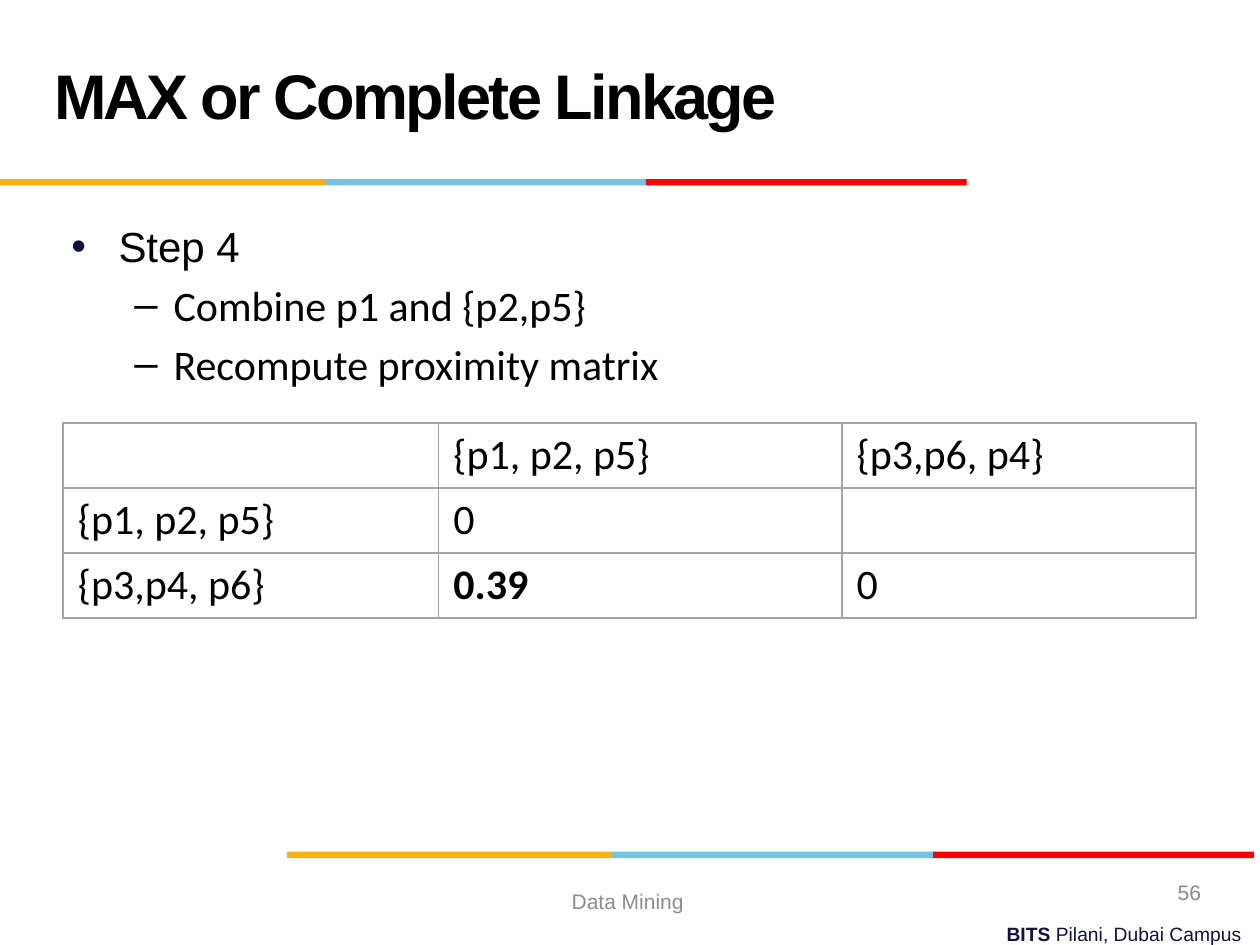
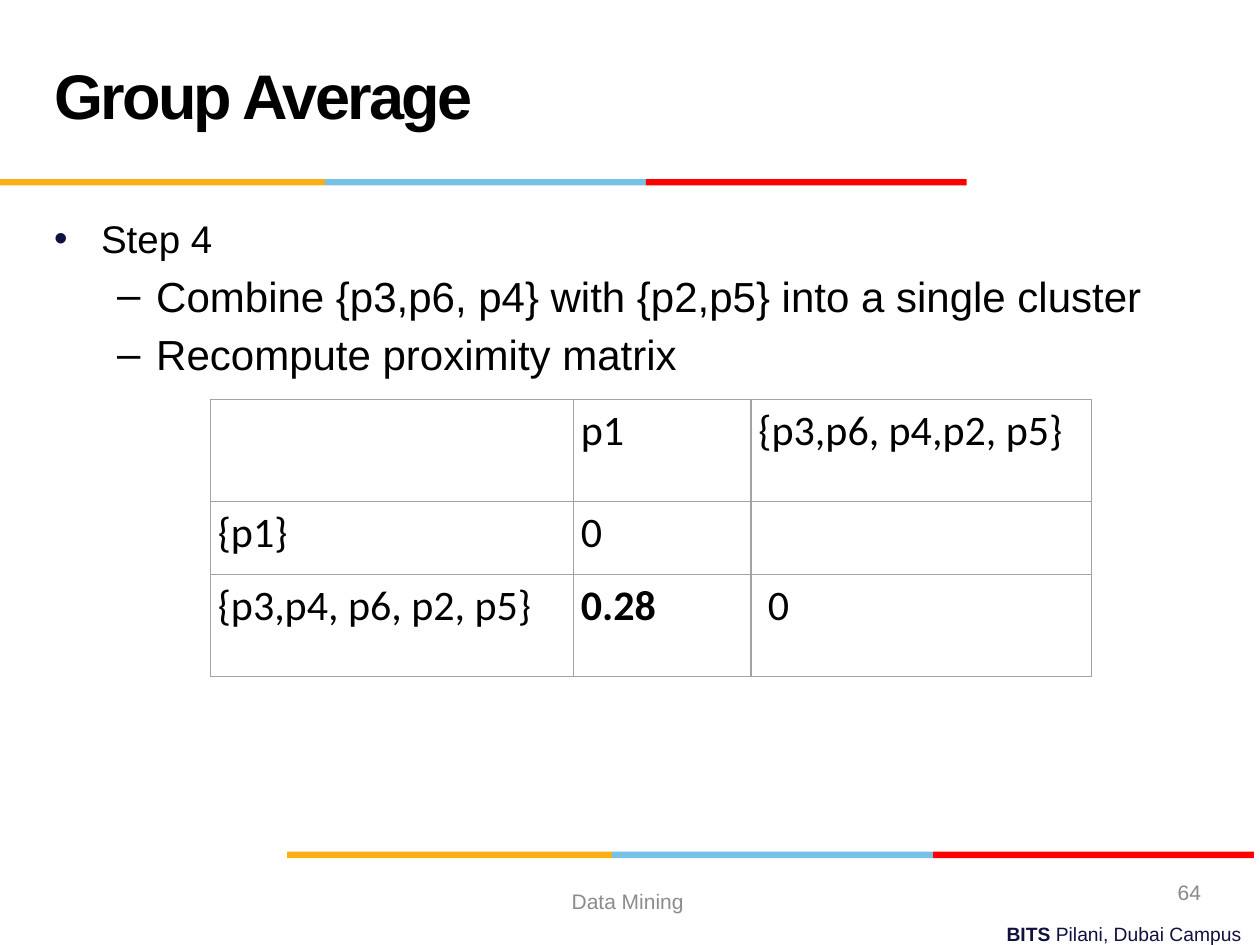
from dataclasses import dataclass
from itertools import product

from lxml.etree import SubElement
from pptx import Presentation
from pptx.dml.color import RGBColor
from pptx.enum.shapes import MSO_SHAPE as Shape
from pptx.enum.text import MSO_ANCHOR as Anchor, PP_ALIGN as Align
from pptx.oxml.ns import qn
from pptx.util import Cm, Pt


@dataclass(frozen=True)
class Theme:
    """Colours, fonts and type sizes of the deck."""
    ink: str = "000000"
    navy: str = "101141"
    footer: str = "8C8C8C"
    number: str = "898989"
    border: str = "A3A3A3"
    stripes: tuple = ("FCB017", "76C2E5", "FF0000")
    main: str = "Arial"
    second: str = "Calibri"
    title_size: int = 36
    body_size: int = 24
    footer_size: int = 12
    campus_size: int = 11


THEME = Theme()
STRIPE_WIDTHS = (6.55, 6.47, 6.47)


def add_span(para, text, size=THEME.body_size, font=THEME.main, color=THEME.ink,
             bold=False, spacing=None):
    """Add a formatted run of text to a paragraph."""
    span = para.add_run()
    span.text = text
    span.font.size, span.font.name, span.font.bold = Pt(size), font, bold
    span.font.color.rgb = RGBColor.from_string(color)
    if spacing is not None:
        span.font._element.set("spc", str(int(spacing * 100)))


def add_box(page, left, top, width, height, anchor=Anchor.TOP, align=Align.LEFT):
    """Add a wrapping text box and return its text frame."""
    frame = page.shapes.add_textbox(Cm(left), Cm(top), Cm(width), Cm(height)).text_frame
    frame.word_wrap = True
    frame.vertical_anchor = anchor
    frame.paragraphs[0].alignment = align
    return frame


def add_stripes(page, left, top):
    """Draw the three-colour band from the given corner."""
    for width, color in zip(STRIPE_WIDTHS, THEME.stripes):
        stripe = page.shapes.add_shape(Shape.RECTANGLE, Cm(left), Cm(top), Cm(width), Cm(0.13))
        stripe.shadow.inherit = False
        stripe.fill.solid()
        stripe.fill.fore_color.rgb = RGBColor.from_string(color)
        stripe.line.fill.background()
        left += width


def add_title(page, text):
    """Write the slide title above its band."""
    para = add_box(page, 0.84, 0.43, 17.58, 3.18, Anchor.MIDDLE).paragraphs[0]
    para.line_spacing = Pt(36)
    add_span(para, text, size=THEME.title_size, bold=True, spacing=-1.5)
    add_stripes(page, 0, 3.61)


def add_footer(page, number):
    """Draw the bottom band, course name, page number and campus line."""
    add_stripes(page, 5.79, 17.17)
    course = add_box(page, 8.63, 17.65, 8.05, 1.02, Anchor.MIDDLE, Align.CENTER)
    add_span(course.paragraphs[0], "Data Mining", size=THEME.footer_size, color=THEME.footer)
    folio = add_box(page, 18.54, 17.48, 5.92, 1.02, Anchor.MIDDLE, Align.RIGHT)
    add_span(folio.paragraphs[0], str(number), size=THEME.footer_size, color=THEME.number)
    campus = add_box(page, 8.97, 18.47, 16.31, 0.74, align=Align.RIGHT).paragraphs[0]
    for text, bold in (("BITS ", True), ("Pilani, Dubai Campus", False)):
        add_span(campus, text, size=THEME.campus_size, color=THEME.navy, bold=bold)


def set_bullet(para, mark, margin, hang, color=None):
    """Give a paragraph a hanging bullet."""
    props = para._p.get_or_add_pPr()
    props.set("marL", str(Cm(margin)))
    props.set("indent", str(-Cm(hang)))
    if color:
        SubElement(SubElement(props, qn("a:buClr")), qn("a:srgbClr"), val=color)
    SubElement(props, qn("a:buFont"), typeface=THEME.main)
    SubElement(props, qn("a:buChar"), char=mark)


def add_steps(page, box, heading, actions, heading_size=THEME.body_size, font=THEME.main):
    """Write a bulleted step with its dashed actions."""
    frame = add_box(page, *box)
    para = frame.paragraphs[0]
    set_bullet(para, "•", 0.95, 0.95, THEME.navy)
    add_span(para, heading, size=heading_size)
    for action in actions:
        para = frame.add_paragraph()
        para.space_before = Pt(THEME.body_size * 0.2)
        set_bullet(para, "–", 2.06, 0.79)
        add_span(para, action, font=font)


def style_cell(cell, inset):
    """Clear the fill of a cell, outline it and set its margins."""
    props = cell._tc.get_or_add_tcPr()
    for side in ("lnL", "lnR", "lnT", "lnB"):
        line = SubElement(props, qn(f"a:{side}"), w=str(Pt(1)))
        SubElement(SubElement(line, qn("a:solidFill")), qn("a:srgbClr"), val=THEME.border)
    cell.fill.background()
    cell.margin_left = cell.margin_right = Cm(inset)
    cell.margin_top = cell.margin_bottom = Cm(0.13)


def add_matrix(page, left, top, widths, heights, values, inset):
    """Add a proximity matrix with its recomputed distance in bold."""
    table = page.shapes.add_table(len(heights), len(widths), Cm(left), Cm(top),
                                  Cm(sum(widths)), Cm(sum(heights))).table
    table.first_row = table.horz_banding = False
    for column, width in zip(table.columns, widths):
        column.width = Cm(width)
    for row, height in zip(table.rows, heights):
        row.height = Cm(height)
    for row, column in product(range(len(heights)), range(len(widths))):
        cell = table.cell(row, column)
        style_cell(cell, inset)
        if values[row][column]:
            add_span(cell.text_frame.paragraphs[0], values[row][column],
                     font=THEME.second, bold=(row, column) == (2, 1))
    return table


def add_page(deck, title, number):
    """Add a blank slide with the shared title and footer."""
    page = deck.slides.add_slide(deck.slide_layouts[6])
    add_title(page, title)
    add_footer(page, number)
    return page


def build_complete_linkage(deck):
    """Build the complete linkage slide."""
    page = add_page(deck, "MAX or Complete Linkage", 56)
    add_steps(page, (1.19, 4.32, 23.29, 12.07), "Step 4",
              ("Combine p1 and {p2,p5}", "Recompute proximity matrix"), font=THEME.second)
    add_matrix(page, 1.27, 8.53, (7.57, 8.13, 7.14), (1.31,) * 3,
               (("", "{p1, p2, p5}", "{p3,p6, p4}"),
                ("{p1, p2, p5}", "0", ""),
                ("{p3,p4, p6}", "0.39", "0")), inset=0.3)


def build_group_average(deck):
    """Build the group average slide."""
    page = add_page(deck, "Group Average", 64)
    add_steps(page, (0.84, 4.22, 22.86, 12.57), "Step 4",
              ("Combine {p3,p6, p4} with {p2,p5} into a single cluster",
               "Recompute proximity matrix"), heading_size=22)
    table = add_matrix(page, 4.24, 8.05, (7.32, 3.58, 6.86), (2.06, 1.47, 2.06),
                       (("", "p1", "{p3,p6, p4,p2, p5}"),
                        ("{p1}", "0", ""),
                        ("{p3,p4, p6, p2, p5}", "0.28", "0")), inset=0.15)
    table.cell(2, 2).margin_left = Cm(0.34)


def main():
    """Build and save the deck."""
    deck = Presentation()
    deck.slide_width, deck.slide_height = Cm(25.4), Cm(19.05)
    build_complete_linkage(deck)
    build_group_average(deck)
    deck.save("out.pptx")


if __name__ == "__main__":
    main()
